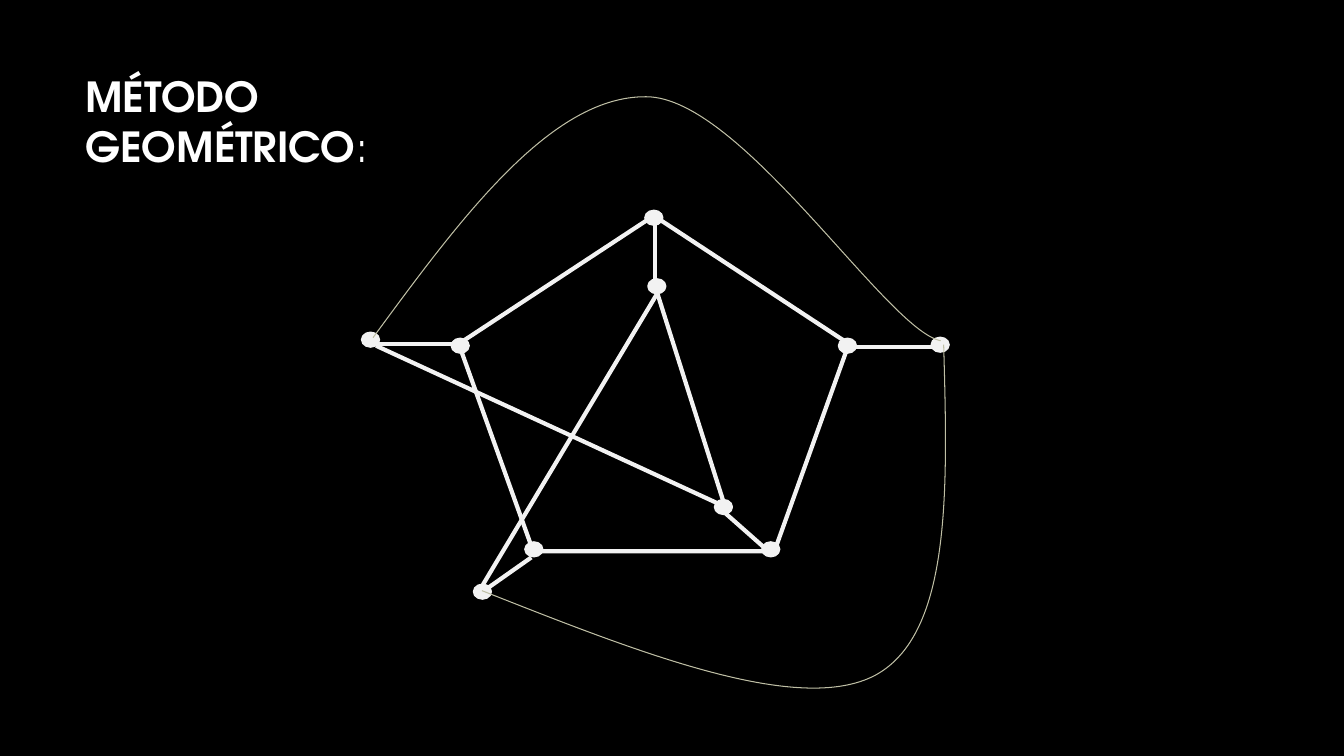
from lxml.etree import SubElement
from pptx import Presentation
from pptx.dml.color import RGBColor
from pptx.enum.shapes import MSO_CONNECTOR, MSO_SHAPE
from pptx.enum.text import MSO_ANCHOR
from pptx.oxml.ns import qn
from pptx.util import Inches, Pt

COLORS = {
    "background": "000000", "title": "FFFFFF", "title_end": "A6A6A6",
    "graph": "F2F2F2", "curve": "BFBFA5",
}
FONT = "TeX Gyre Adventor"
NODE_SIZE = (0.17, 0.14)
TITLE = [[("MÉTODO", True)], [("GEOMÉTRICO", True), (":", False)]]

GRAPH_BOX = (3.59, 0.96, 5.82, 5.86)
PENTAGON = (0.96, 1.18, 3.87, 3.33)
NODES = [
    (2.81, 1.13), (0.89, 2.4), (4.73, 2.4), (3.97, 4.42), (1.62, 4.42),
    (0, 2.34), (2.84, 1.81), (5.65, 2.39), (1.11, 4.84), (3.5, 4),
]
EDGES = [
    ((2.91, 1.24), (2.91, 1.88)),
    ((0.06, 2.45), (0.89, 2.45)),
    ((4.9, 2.48), (5.73, 2.48)),
    ((1.14, 4.95), (1.68, 4.57)),
    ((4.01, 4.49), (3.58, 4.11)),
    ((0.14, 2.47), (3.52, 4.03)),
    ((2.93, 1.95), (3.58, 4)),
    ((2.93, 1.95), (1.2, 4.84)),
]
CURVES = [
    ((5.64, 2.42), [(0.11, 2.39), (0.99, 1.19), (1.88, -0.01), (2.82, 0),
                    (3.76, 0), (5.21, 2.32), (5.74, 2.42)]),
    ((4.6, 3.4), [(1.19, 4.9), (2.76, 5.52), (4.33, 6.14), (5.09, 5.74),
                  (5.85, 5.33), (5.81, 3.9), (5.77, 2.46)]),
]


def color(name):
    return RGBColor.from_string(COLORS[name])


def set_line(shape, name, width):
    shape.line.color.rgb = color(name)
    shape.line.width = Pt(width)


def add_title(page, box):
    frame = page.shapes.add_textbox(*map(Inches, box)).text_frame
    frame.word_wrap = True
    frame.vertical_anchor = MSO_ANCHOR.MIDDLE
    for index, spans in enumerate(TITLE):
        para = frame.paragraphs[0] if index == 0 else frame.add_paragraph()
        para.line_spacing = Pt(36)
        para.font.name = FONT
        para.font.size = Pt(29.6)
        for words, bold in spans:
            span = para.add_run()
            span.text = words
            span.font.bold = bold
            span.font.fill.gradient()
            span.font.fill.gradient_angle = 267
            for stop, name in zip(span.font.fill.gradient_stops, ("title", "title_end")):
                stop.color.rgb = color(name)


def add_node(group, left, top):
    node = group.shapes.add_shape(
        MSO_SHAPE.OVAL, *map(Inches, (left, top, *NODE_SIZE)))
    node.shadow.inherit = False
    node.fill.solid()
    node.fill.fore_color.rgb = color("graph")
    set_line(node, "graph", 1.5)


def add_edge(group, start, end):
    edge = group.shapes.add_connector(
        MSO_CONNECTOR.STRAIGHT, *map(Inches, start), *map(Inches, end))
    set_line(edge, "graph", 3)
    SubElement(edge._element.spPr, qn("a:effectLst"))


def add_curve(page, size, controls):
    points = [(Inches(x), Inches(y)) for x, y in controls]
    builder = page.shapes.build_freeform(*points[0])
    builder.add_line_segments(points[3::3], close=False)
    curve = builder.convert_to_shape()
    curve.shadow.inherit = False
    curve.fill.background()
    set_line(curve, "curve", 0.75)
    curve.width, curve.height = map(Inches, size)
    outline = next(curve._element.iter(qn("a:path")))
    outline.set("w", str(curve.width))
    outline.set("h", str(curve.height))
    for segment in outline.findall(qn("a:lnTo")):
        outline.remove(segment)
    for first in range(1, len(points), 3):
        bend = SubElement(outline, qn("a:cubicBezTo"))
        for x, y in points[first:first + 3]:
            SubElement(bend, qn("a:pt"), x=str(x - curve.left), y=str(y - curve.top))


def add_graph(page, box):
    left, top = box[:2]

    def place(point):
        return left + point[0], top + point[1]

    group = page.shapes.add_group_shape()
    for node in NODES:
        add_node(group, *place(node))
    pentagon = group.shapes.add_shape(
        MSO_SHAPE.REGULAR_PENTAGON, *map(Inches, (*place(PENTAGON), *PENTAGON[2:])))
    pentagon.shadow.inherit = False
    pentagon.fill.background()
    set_line(pentagon, "graph", 3)
    for start, end in EDGES:
        add_edge(group, place(start), place(end))
    for size, controls in CURVES:
        add_curve(page, size, [place(point) for point in controls])


def main():
    deck = Presentation()
    deck.slide_width, deck.slide_height = Inches(13.33), Inches(7.5)
    page = deck.slides.add_slide(deck.slide_layouts[6])
    page.background.fill.solid()
    page.background.fill.fore_color.rgb = color("background")
    add_graph(page, GRAPH_BOX)
    add_title(page, (0.75, 0.67, 11.08, 1.05))
    deck.save("out.pptx")


if __name__ == "__main__":
    main()
